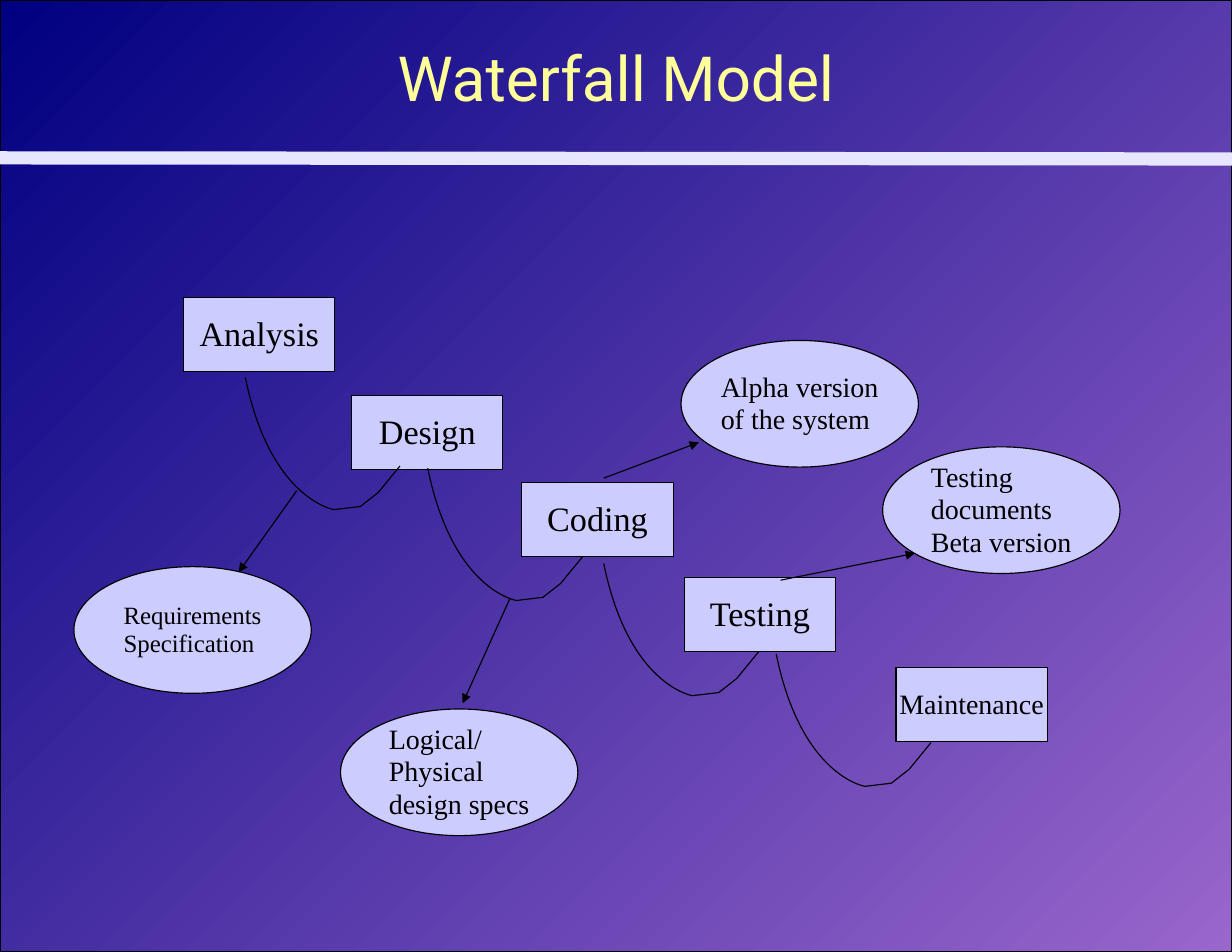
import pptx
import pptx.dml.color
import pptx.enum.shapes
import pptx.enum.text
import pptx.oxml
import pptx.oxml.ns
import pptx.util

Pt = pptx.util.Pt
SHAPES = pptx.enum.shapes.MSO_SHAPE
ALIGN = pptx.enum.text.PP_ALIGN

COLORS = {
    "navy": "000080",
    "purple": "9966CC",
    "rule": "E6E6FF",
    "title": "FFFF99",
    "node": "CCCCFF",
    "ink": "000000",
}
SLIDE_SIZE = (792, 612)
STAGE_SIZE = (97.2, 47.5)
DOCUMENT_SIZE = (152.6, 81.4)

# Offsets from the start of a link between two stages.
LINK_CONTROLS = [(16, 78.5), (57, 85)]
LINK_CORNERS = [(57, 85), (74, 83), (85.5, 74), (99.4, 57)]

STAGES = [
    ("Analysis", 118.1, 191.5, 22),
    ("Design", 226.1, 254.2, 22),
    ("Coding", 335.5, 310.3, 22),
    ("Testing", 439.9, 371.5, 22),
    ("Maintenance", 576, 429.1, 18),
]
LINK_STARTS = [(157.7, 242.6), (275, 301), (388.1, 362.2), (499, 420.5)]
DOCUMENTS = [
    ("Requirements\nSpecification", 47.5, 364.3, 16),
    ("Logical/Physical\ndesign specs", 218.9, 455.8, 18),
    ("Alpha version\nof the system", 437.8, 218.9, 18),
    ("Testing documents\nBeta version", 567.4, 287.3, 18),
]
ARROWS = [
    ((190.8, 315.4), (153.4, 367.9)),
    ((327.6, 385.2), (297.4, 452.2)),
    ((388.1, 307.4), (449.3, 284.4)),
    ((501.8, 373), (588.2, 355.7)),
]


def color(name):
    return pptx.dml.color.RGBColor.from_string(COLORS[name])


def element(tag, **attributes):
    node = pptx.oxml.parse_xml(f"<{tag} {pptx.oxml.ns.nsdecls('a')}/>")
    for name, value in attributes.items():
        node.set(name, str(value))
    return node


class Diagram:
    """Draws styled elements on one slide, with all lengths in points."""

    title_font = "Roboto"
    body_font = "Times New Roman"
    line_width = 0.75

    def __init__(self, slide):
        self.slide = slide
        self.shapes = slide.shapes

    def outline(self, line, name="ink", width=line_width):
        line.color.rgb = color(name)
        line.width = Pt(width)

    def label(self, shape, text, size, font, color_name, align, spacing):
        frame = shape.text_frame
        frame.word_wrap = True
        frame.vertical_anchor = pptx.enum.text.MSO_ANCHOR.MIDDLE
        frame.margin_left = frame.margin_right = 0
        frame.margin_top = frame.margin_bottom = 0
        frame.text = text
        for paragraph in frame.paragraphs:
            paragraph.alignment = align
            paragraph.line_spacing = spacing
            for run in paragraph.runs:
                run.font.name = font
                run.font.size = Pt(size)
                run.font.color.rgb = color(color_name)

    def shape(self, kind, left, top, size):
        shape = self.shapes.add_shape(kind, Pt(left), Pt(top), *map(Pt, size))
        shape.shadow.inherit = False
        self.outline(shape.line)
        return shape

    def background(self):
        shape = self.shape(SHAPES.RECTANGLE, 0, 0, SLIDE_SIZE)
        shape.fill.gradient()
        shape.fill.gradient_angle = 315
        for stop, position, name in zip(shape.fill.gradient_stops, (0, 1), ("navy", "purple")):
            stop.position = position
            stop.color.rgb = color(name)

    def title(self, text):
        box = self.shapes.add_textbox(Pt(82), Pt(0), Pt(628), Pt(93))
        self.label(box, text, 40, self.title_font, "title", ALIGN.CENTER, 1.12)

    def node(self, kind, text, left, top, size, font_size):
        """Add a filled shape whose left-aligned text block is centred as a whole."""
        shape = self.shape(kind, left, top, size)
        shape.fill.solid()
        shape.fill.fore_color.rgb = color("node")
        self.label(shape, text, font_size, self.body_font, "ink", ALIGN.LEFT, 0.96)
        shape.text_frame._txBody.bodyPr.set("anchorCtr", "1")
        return shape

    def stage(self, text, left, top, font_size):
        shape = self.node(SHAPES.ROUNDED_RECTANGLE, text, left, top, STAGE_SIZE, font_size)
        shape.adjustments[0] = 0

    def document(self, text, left, top, font_size):
        self.node(SHAPES.OVAL, text, left, top, DOCUMENT_SIZE, font_size)

    def link(self, left, top):
        """Add a curve that drops from one stage and rises to the next."""
        builder = self.shapes.build_freeform(Pt(left), Pt(top))
        builder.add_line_segments(
            [(Pt(left + x), Pt(top + y)) for x, y in LINK_CORNERS], close=False
        )
        shape = builder.convert_to_shape()
        shape.shadow.inherit = False
        shape.fill.background()
        self.outline(shape.line)
        first_line = next(shape._element.iter(pptx.oxml.ns.qn("a:lnTo")))
        curve = element("a:cubicBezTo")
        for x, y in LINK_CONTROLS + LINK_CORNERS[:1]:
            curve.append(element("a:pt", x=int(Pt(x)), y=int(Pt(y))))
        first_line.getparent().replace(first_line, curve)

    def line(self, start, end, name="ink", width=line_width):
        connector = self.shapes.add_connector(
            pptx.enum.shapes.MSO_CONNECTOR.STRAIGHT, *map(Pt, start + end)
        )
        self.outline(connector.line, name, width)
        connector._element.spPr.append(element("a:effectLst"))
        return connector

    def arrow(self, start, end):
        connector = self.line(start, end)
        connector.line._get_or_add_ln().append(element("a:tailEnd", type="triangle"))


def main():
    presentation = pptx.Presentation()
    presentation.slide_width, presentation.slide_height = map(Pt, SLIDE_SIZE)
    diagram = Diagram(presentation.slides.add_slide(presentation.slide_layouts[6]))

    diagram.background()
    diagram.line((0, 101.5), (792, 102.2), "rule", 8.5)
    diagram.title("Waterfall Model")
    for stage in STAGES:
        diagram.stage(*stage)
    for start in LINK_STARTS:
        diagram.link(*start)
    for document in DOCUMENTS:
        diagram.document(*document)
    for start, end in ARROWS:
        diagram.arrow(start, end)

    presentation.save("out.pptx")


if __name__ == "__main__":
    main()
